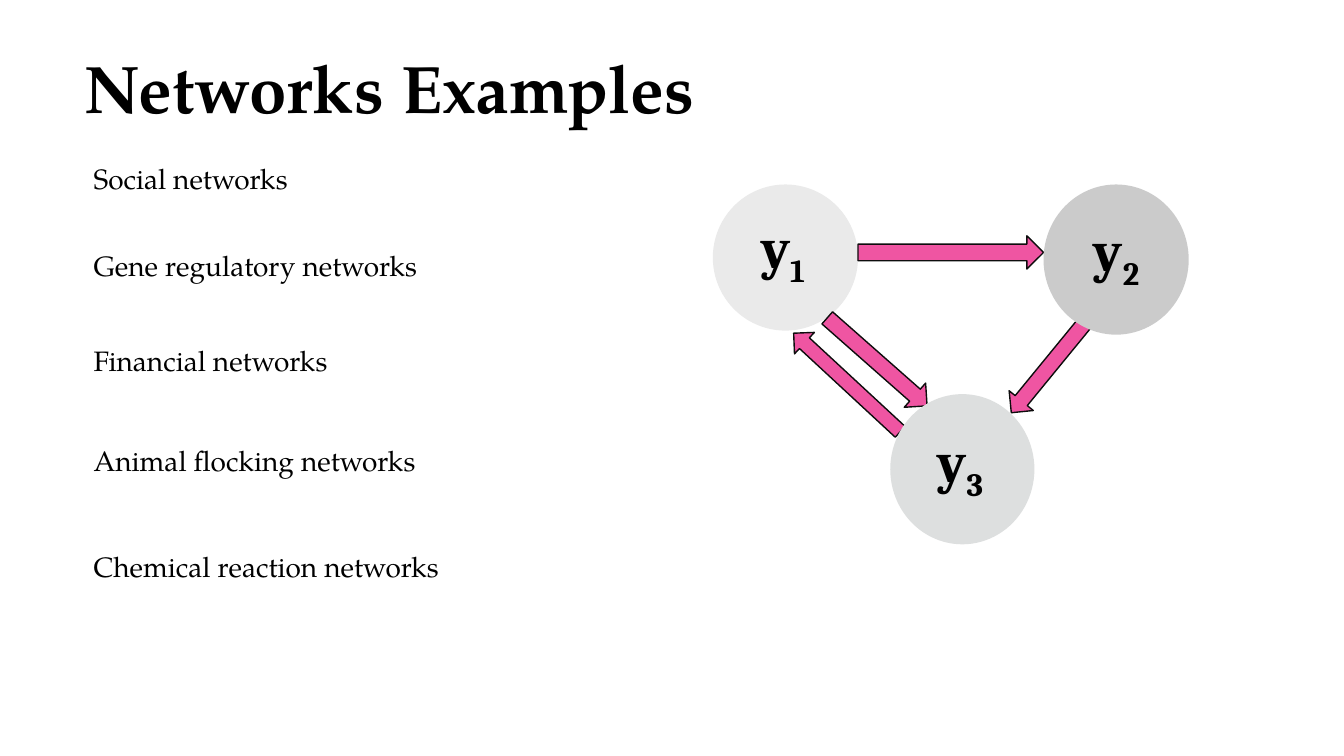
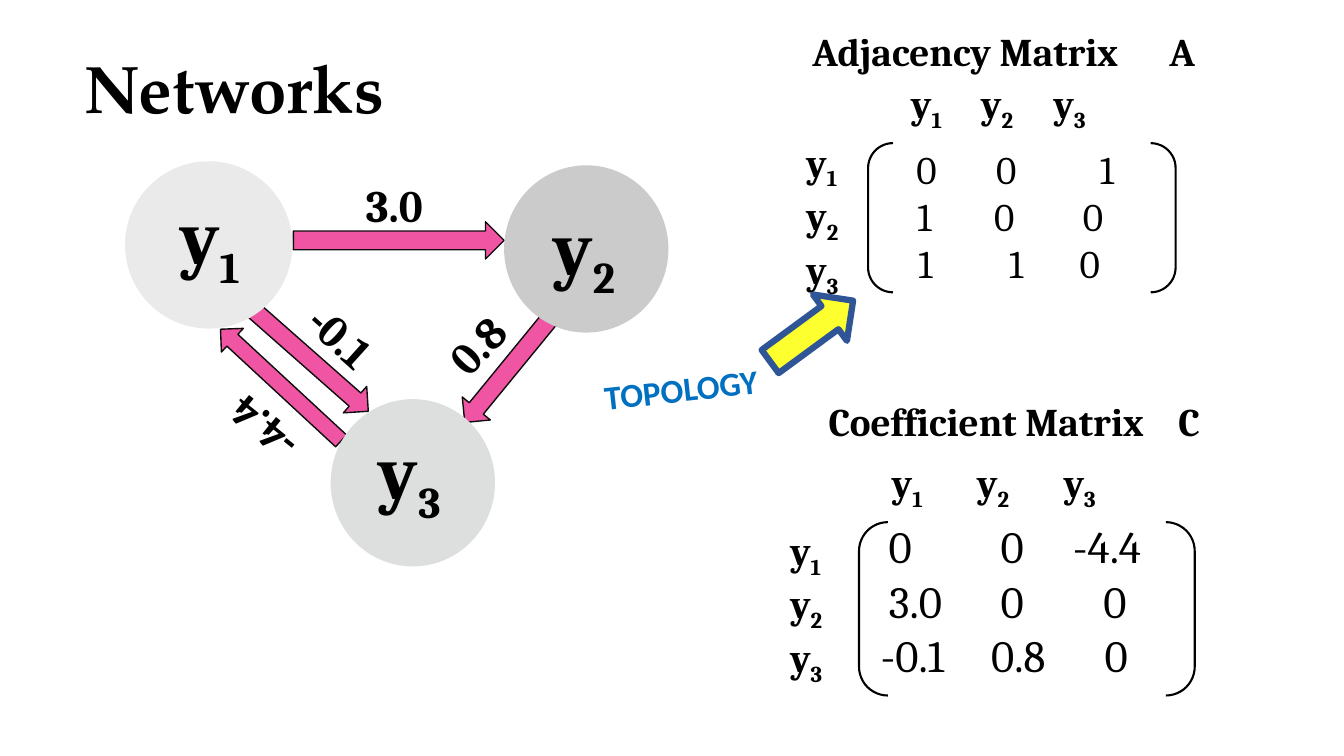
import pptx
import pptx.dml.color
import pptx.enum.shapes
import pptx.enum.text
import pptx.util

Inches = pptx.util.Inches
Pt = pptx.util.Pt
SHAPE = pptx.enum.shapes.MSO_SHAPE
ALIGN = pptx.enum.text.PP_ALIGN

TITLE_FONT = "TeX Gyre Pagella"
MATH_FONT = "Cambria"
BLACK = "000000"
PINK = "EF55A2"
ARROW_LINE = "0D0D0D"
NODE_FILLS = ["EAEAEA", "CBCBCB", "DDDFDF"]
VARIABLES = ["y_1", "y_2", "y_3"]


def rgb(value):
    return pptx.dml.color.RGBColor.from_string(value)


def add_text(slide, at, lines, size, font=MATH_FONT, color=BLACK, bold=False,
             align=ALIGN.LEFT, rotation=0):
    """Add one paragraph per line; what follows an underscore is a subscript."""
    sp = slide.shapes.add_textbox(*map(Inches, at))
    sp.rotation = rotation
    tf = sp.text_frame
    tf.word_wrap = True
    for i, line in enumerate(lines):
        p = tf.add_paragraph() if i else tf.paragraphs[0]
        p.alignment = align
        for level, part in enumerate(line.split("_")):
            r = p.add_run()
            r.text = part
            r.font.name = font
            r.font.size = Pt(size)
            r.font.bold = bold
            r.font.color.rgb = rgb(color)
            if level:
                r.font._element.set("baseline", "-25000")


def add_shape(slide, kind, at, fill=None, line=None, width=1, rotation=0):
    sp = slide.shapes.add_shape(kind, *map(Inches, at))
    sp.shadow.inherit = False
    sp.rotation = rotation
    if fill:
        sp.fill.solid()
        sp.fill.fore_color.rgb = rgb(fill)
    else:
        sp.fill.background()
    if line:
        sp.line.color.rgb = rgb(line)
        sp.line.width = Pt(width)
    else:
        sp.line.fill.background()


def add_slide(prs, title):
    slide = prs.slides.add_slide(prs.slide_layouts[6])
    add_text(slide, (0.74, 0.41, 10.9, 0.91), [title], 48, TITLE_FONT, bold=True)
    return slide


def add_node(slide, index, circle, label_at, size):
    add_shape(slide, SHAPE.OVAL, circle, NODE_FILLS[index])
    add_text(slide, (*label_at, 1, 1), [VARIABLES[index]], size, bold=True)


def add_network(slide, nodes, arrows, size, arrows_after):
    """Draw the arrows above the first arrows_after nodes and below the rest."""
    for i, (circle, label_at) in enumerate(nodes):
        if i == arrows_after:
            for at, rotation in arrows:
                add_shape(slide, SHAPE.RIGHT_ARROW, at, PINK, ARROW_LINE, 1, rotation)
        add_node(slide, i, circle, label_at, size)


def add_centred(slide, text, center, top, size, bold=False):
    width = 1.2
    add_text(slide, (center - width / 2, top, width, 0.57), [text], size,
             bold=bold, align=ALIGN.CENTER)


def add_matrix(slide, name, symbol, name_at, symbol_left, bracket, row_labels_at,
               header_top, header_centers, rows, first_top, pitch, size):
    """Add a bracketed matrix; each entry is its value and its centre."""
    left, top = name_at
    add_text(slide, (left, top, 3.5, 0.57), [name], 28, bold=True)
    add_text(slide, (symbol_left, top, 0.6, 0.57), [symbol], 28, bold=True)
    add_shape(slide, SHAPE.DOUBLE_BRACKET, bracket, line=BLACK, width=1.5)
    add_text(slide, (*row_labels_at, 0.64, 1.83), VARIABLES, 28, bold=True)
    for variable, center in zip(VARIABLES, header_centers):
        add_centred(slide, variable, center, header_top, 28, True)
    for i, row in enumerate(rows):
        for value, center in row:
            add_centred(slide, value, center, first_top + i * pitch, size)


def examples_slide(prs):
    slide = add_slide(prs, "Networks Examples")
    nodes = [((7.07, 1.83, 1.44, 1.45), (7.45, 2.06)),
             ((10.35, 1.83, 1.44, 1.49), (10.75, 2.09)),
             ((8.83, 3.91, 1.43, 1.49), (9.2, 4.18))]
    arrows = [((8.51, 2.34, 1.84, 0.33), 0),
              ((8.04, 3.43, 1.32, 0.32), 41.4),
              ((9.77, 3.39, 1.42, 0.31), 129.3),
              ((7.68, 3.65, 1.44, 0.29), 222.8)]
    add_network(slide, nodes, arrows, 40, 1)
    examples = [("Social", 1.55), ("Gene regulatory", 2.42), ("Financial", 3.36),
                ("Animal flocking", 4.35), ("Chemical reaction", 5.4)]
    for kind, top in examples:
        add_text(slide, (0.83, top, 5, 0.44), [kind + " networks"], 20, TITLE_FONT)


def matrices_slide(prs):
    slide = add_slide(prs, "Networks")
    nodes = [((1.24, 1.6, 1.66, 1.66), (1.69, 1.83)),
             ((5, 1.64, 1.63, 1.66), (5.39, 1.93)),
             ((3.28, 3.96, 1.63, 1.66), (3.66, 4.16))]
    arrows = [((2.91, 2.2, 2.09, 0.37), 0),
              ((2.13, 3.33, 1.74, 0.35), 41.4),
              ((4.32, 3.4, 1.58, 0.36), 129.3),
              ((1.97, 3.66, 1.63, 0.32), 222.8)]
    add_network(slide, nodes, arrows, 54, 0)
    weights = [("3.0", (3.53, 1.71, 1.09, 0.64), 0),
               ("-0.1", (2.92, 3.09, 1.09, 0.64), 42),
               ("0.8", (4.32, 3.06, 0.91, 0.64), 313.2),
               ("-4.4", (2.12, 3.93, 0.95, 0.64), 218.7)]
    for weight, at, rotation in weights:
        add_text(slide, at, [weight], 32, bold=True, rotation=rotation)

    add_matrix(slide, "Adjacency Matrix", "A", (7.96, 0.22), 11.5,
               bracket=(8.61, 1.42, 3.05, 1.48), row_labels_at=(7.9, 1.32),
               header_top=0.74, header_centers=(9.19, 9.89, 10.61),
               rows=[[("0", 9.19), ("0", 9.98), ("1", 10.98)],
                     [("1", 9.17), ("0", 9.96), ("0", 10.84)],
                     [("1", 9.18), ("1", 10.08), ("0", 10.81)]],
               first_top=1.39, pitch=0.47, size=28)
    add_matrix(slide, "Coefficient Matrix", "C", (8.12, 3.89), 11.59,
               bracket=(8.52, 5.18, 3.33, 1.72), row_labels_at=(7.74, 5.17),
               header_top=4.5, header_centers=(9, 9.85, 10.71),
               rows=[[("0", 8.93), ("0", 10.04), ("-4.4", 10.98)],
                     [("3.0", 9.08), ("0", 10.04), ("0", 11.06)],
                     [("-0.1", 9.05), ("0.8", 10.1), ("0", 11.07)]],
               first_top=5.1, pitch=0.54, size=32)

    add_shape(slide, SHAPE.RIGHT_ARROW, (7.54, 3, 1.02, 0.57), "FEFF2E", "2F5597",
              4.5, 323.7)
    add_text(slide, (5.89, 3.56, 2.59, 0.5), ["TOPOLOGY"], 24, "Calibri", "0070C0",
             bold=True, rotation=353.8)


def main():
    prs = pptx.Presentation()
    prs.slide_width = Inches(13.33)
    prs.slide_height = Inches(7.5)
    examples_slide(prs)
    matrices_slide(prs)
    prs.save("out.pptx")


if __name__ == "__main__":
    main()
